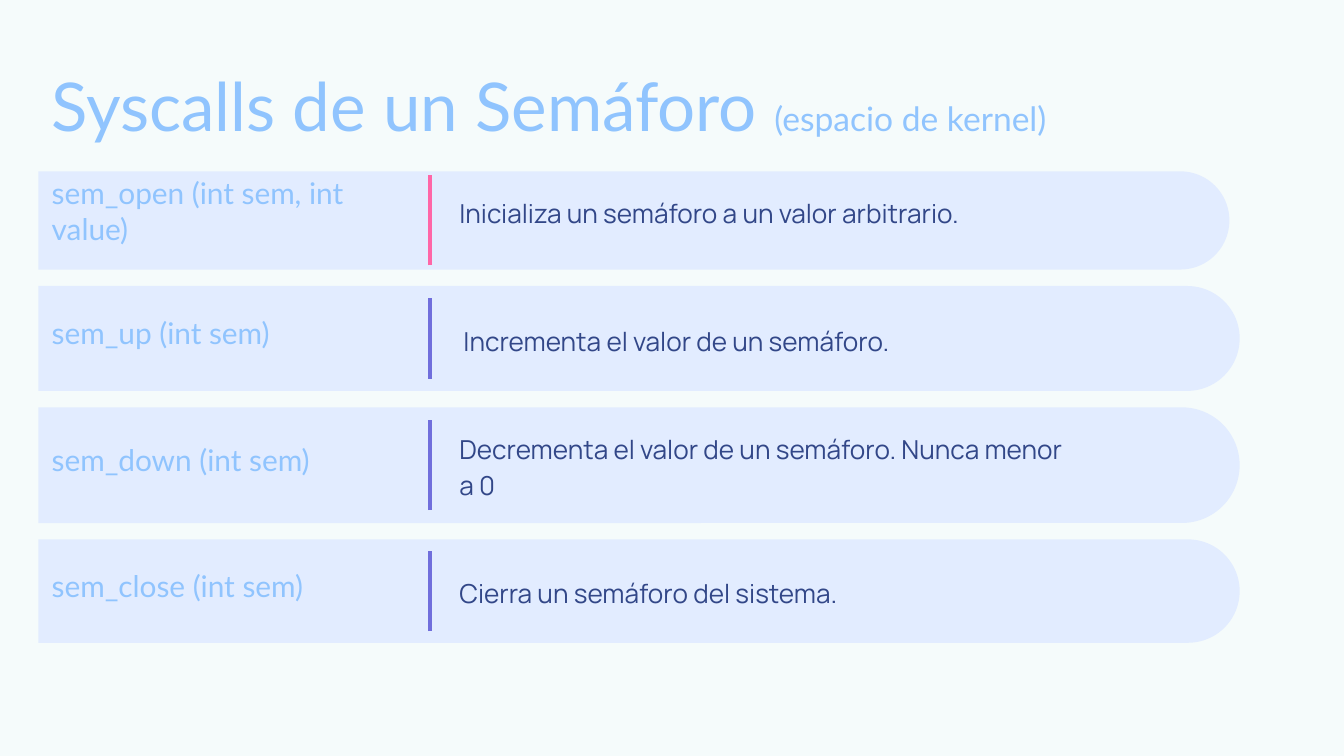
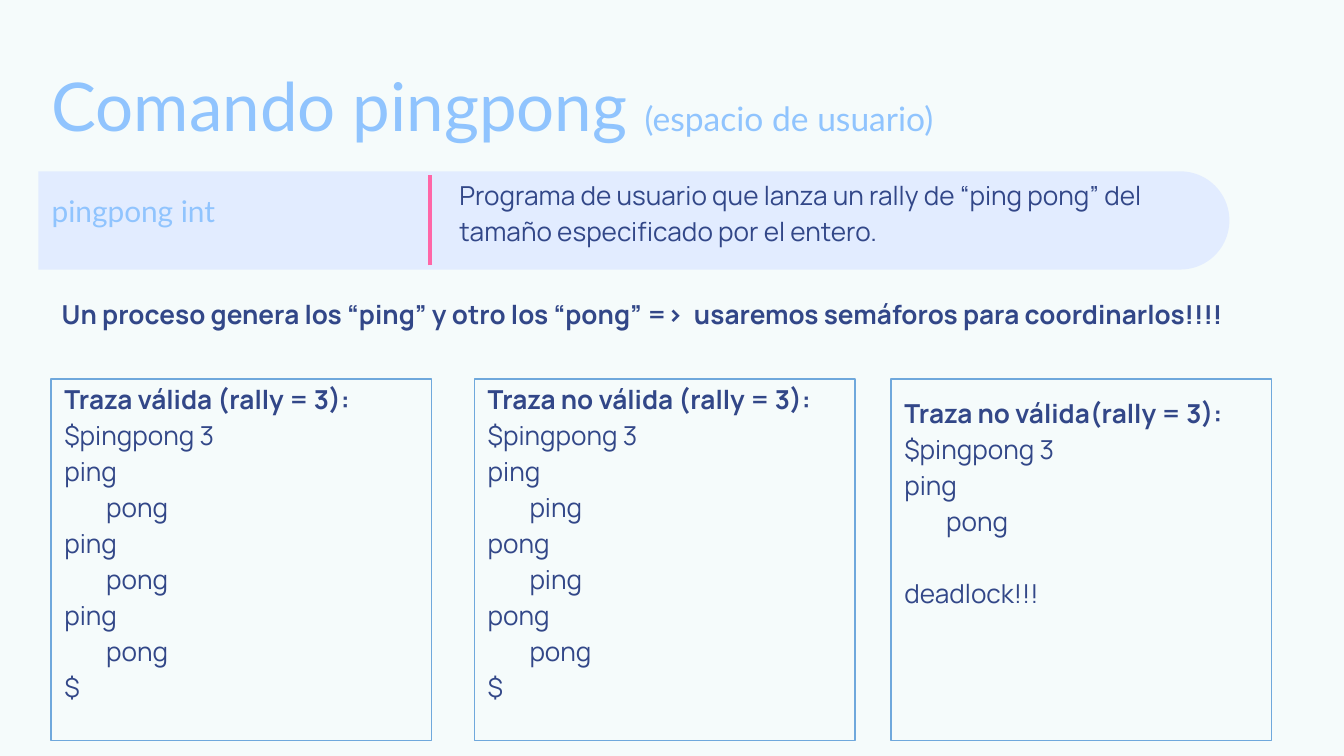
from dataclasses import dataclass

from pptx import Presentation
from pptx import util as u
from pptx.dml.color import RGBColor
from pptx.enum import shapes, text
from pptx.oxml.ns import qn

Pt = u.Pt


@dataclass(frozen=True)
class Theme:
    background: str = "F5FBFB"
    band: str = "E2ECFF"
    sky: str = "90C4FE"
    navy: str = "324788"
    pink: str = "FF66A7"
    violet: str = "706EDC"
    outline: str = "6FA8DC"
    heading_font: str = "Lato"
    body_font: str = "Manrope"
    title_size: int = 36
    subtitle_size: int = 18
    command_size: int = 16
    body_size: int = 14


THEME = Theme()
INSET = 7.2
BAND_LEFT, BAND_TOP, BAND_GAP = 20.6, 91.8, 8.8
TRACE_TOP, TRACE_WIDTH, TRACE_HEIGHT = 203, 203.8, 193.7
TRACE_INDENT, TRACE_LINE = 22.4, 19.4


@dataclass(frozen=True)
class Entry:
    """A command band; shifts are measured from the band's middle line."""
    command: str
    description: str
    width: float = 643.5
    height: float = 56.2
    divider: float = 43
    accent: str = THEME.violet
    command_shift: float = -3
    description_shift: float = 0
    description_left: float = 218.4
    description_width: float = 340.6


def lead_entry(command, description):
    """The first band of a slide, with the pink divider."""
    return Entry(command, description, width=638, height=52.6, divider=48.2,
                 accent=THEME.pink, command_shift=-5.1,
                 description_shift=-5.1, description_width=384.5)


SYSCALLS = [
    lead_entry("sem_open (int sem, int value)",
               "Inicializa un semáforo a un valor arbitrario."),
    Entry("sem_up (int sem)", "Incrementa el valor de un semáforo.",
          description_left=220.6, description_width=344.2),
    Entry("sem_down (int sem)",
          "Decrementa el valor de un semáforo. Nunca menor a 0",
          height=62, divider=48.2),
    Entry("sem_close (int sem)", "Cierra un semáforo del sistema.",
          height=55.4),
]
PINGPONG = lead_entry(
    "pingpong int",
    "Programa de usuario que lanza un rally de “ping pong” del tamaño "
    "especificado por el entero.")

# Each trace: left edge, top inset, heading, lines as (text, indented, gap before)
PING, PONG = ("ping", False, 0), ("pong", False, 0)
PING_IN, PONG_IN = ("ping", True, 0), ("pong", True, 0)
START, END = ("$pingpong 3", False, 0), ("$", False, 0)
TRACES = [
    (27.4, 0, "Traza válida (rally = 3):",
     [START] + [PING, PONG_IN] * 3 + [END]),
    (254.2, 0, "Traza no válida (rally = 3):",
     [START, PING, PING_IN, PONG, PING_IN, PONG, PONG_IN, END]),
    (477.4, INSET, "Traza no válida(rally = 3):",
     [START, PING, PONG_IN, ("deadlock!!!", False, TRACE_LINE)]),
]


def color(value):
    return RGBColor.from_string(value)


def add_run(paragraph, words, font, size, ink, bold=False):
    run = paragraph.add_run()
    run.text = words
    run.font.name = font
    run.font.size = Pt(size)
    run.font.color.rgb = color(ink)
    run.font.bold = bold


def add_body_run(paragraph, words, bold=False):
    paragraph.alignment = text.PP_ALIGN.LEFT
    paragraph.line_spacing = 1.15
    add_run(paragraph, words, THEME.body_font, THEME.body_size, THEME.navy, bold)


def prepare_frame(frame, anchor, top_inset=INSET):
    frame.word_wrap = True
    frame.vertical_anchor = anchor
    frame.margin_left = frame.margin_right = frame.margin_bottom = Pt(INSET)
    frame.margin_top = Pt(top_inset)
    return frame.paragraphs[0]


def add_text(slide, left, top, width, height, anchor=text.MSO_ANCHOR.TOP):
    box = slide.shapes.add_textbox(Pt(left), Pt(top), Pt(width), Pt(height))
    return prepare_frame(box.text_frame, anchor)


def add_titled_slide(prs, title, scope):
    slide = prs.slides.add_slide(prs.slide_layouts[6])
    slide.background.fill.solid()
    slide.background.fill.fore_color.rgb = color(THEME.background)
    heading = add_text(slide, BAND_LEFT, 27.4, 651, 55.4)
    add_run(heading, title + " ", THEME.heading_font, THEME.title_size, THEME.sky)
    add_run(heading, scope, THEME.heading_font, THEME.subtitle_size, THEME.sky)
    return slide


def add_entry(slide, entry, left, top):
    middle = top + entry.height / 2

    # Band: a tab turned so that its rounded end points right
    band = slide.shapes.add_shape(
        shapes.MSO_SHAPE.ROUND_2_SAME_RECTANGLE,
        Pt(left + (entry.width - entry.height) / 2),
        Pt(middle - entry.width / 2), Pt(entry.height), Pt(entry.width))
    band.rotation = 90
    band.adjustments[0], band.adjustments[1] = 0.5, 0
    band.shadow.inherit = False
    band.fill.solid()
    band.fill.fore_color.rgb = color(THEME.band)
    band.line.fill.background()

    # Divider between command and description
    x = Pt(left + 209.8)
    divider = slide.shapes.add_connector(
        shapes.MSO_CONNECTOR.STRAIGHT, x, Pt(middle + entry.divider / 2),
        x, Pt(middle - entry.divider / 2))
    divider.line.color.rgb = color(entry.accent)
    divider.line.width = Pt(2.25)
    properties = divider._element.spPr
    properties.append(properties.makeelement(qn("a:effectLst"), {}))

    # Both texts scale with the divider
    def centred_text(x_offset, width, share, shift):
        height = entry.divider * share
        return add_text(slide, left + x_offset, middle + shift - height / 2,
                        width, height, text.MSO_ANCHOR.MIDDLE)

    command = centred_text(0, 209.8, 0.51, entry.command_shift)
    add_run(command, entry.command, THEME.heading_font, THEME.command_size,
            THEME.sky)
    description = centred_text(entry.description_left, entry.description_width,
                               0.78, entry.description_shift)
    add_body_run(description, entry.description)


def add_trace(slide, left, top_inset, heading, lines):
    frame = slide.shapes.add_shape(
        shapes.MSO_SHAPE.RECTANGLE, Pt(left), Pt(TRACE_TOP),
        Pt(TRACE_WIDTH), Pt(TRACE_HEIGHT))
    frame.shadow.inherit = False
    frame.fill.background()
    frame.line.color.rgb = color(THEME.outline)
    frame.line.width = Pt(0.75)
    first = prepare_frame(frame.text_frame, text.MSO_ANCHOR.TOP, top_inset)
    add_body_run(first, heading, bold=True)
    for words, indented, gap in lines:
        line = frame.text_frame.add_paragraph()
        add_body_run(line, words)
        if gap:
            line.space_before = Pt(gap)
        if indented:
            line._p.get_or_add_pPr().set("marL", str(Pt(TRACE_INDENT)))


def build_syscalls(prs):
    slide = add_titled_slide(prs, "Syscalls de un Semáforo", "(espacio de kernel)")
    top = BAND_TOP
    for entry in SYSCALLS:
        add_entry(slide, entry, BAND_LEFT, top)
        top += entry.height + BAND_GAP


def build_pingpong(prs):
    slide = add_titled_slide(prs, "Comando pingpong", "(espacio de usuario)")
    add_entry(slide, PINGPONG, BAND_LEFT, BAND_TOP)
    for trace in TRACES:
        add_trace(slide, *trace)
    summary = add_text(slide, 26, 150, 672.5, 31.7)
    add_body_run(summary, "Un proceso genera los “ping” y otro los “pong” =>  "
                 "usaremos semáforos para coordinarlos!!!!", bold=True)


def main():
    prs = Presentation()
    prs.slide_width, prs.slide_height = Pt(720), Pt(405)
    build_syscalls(prs)
    build_pingpong(prs)
    prs.save("out.pptx")


if __name__ == "__main__":
    main()
